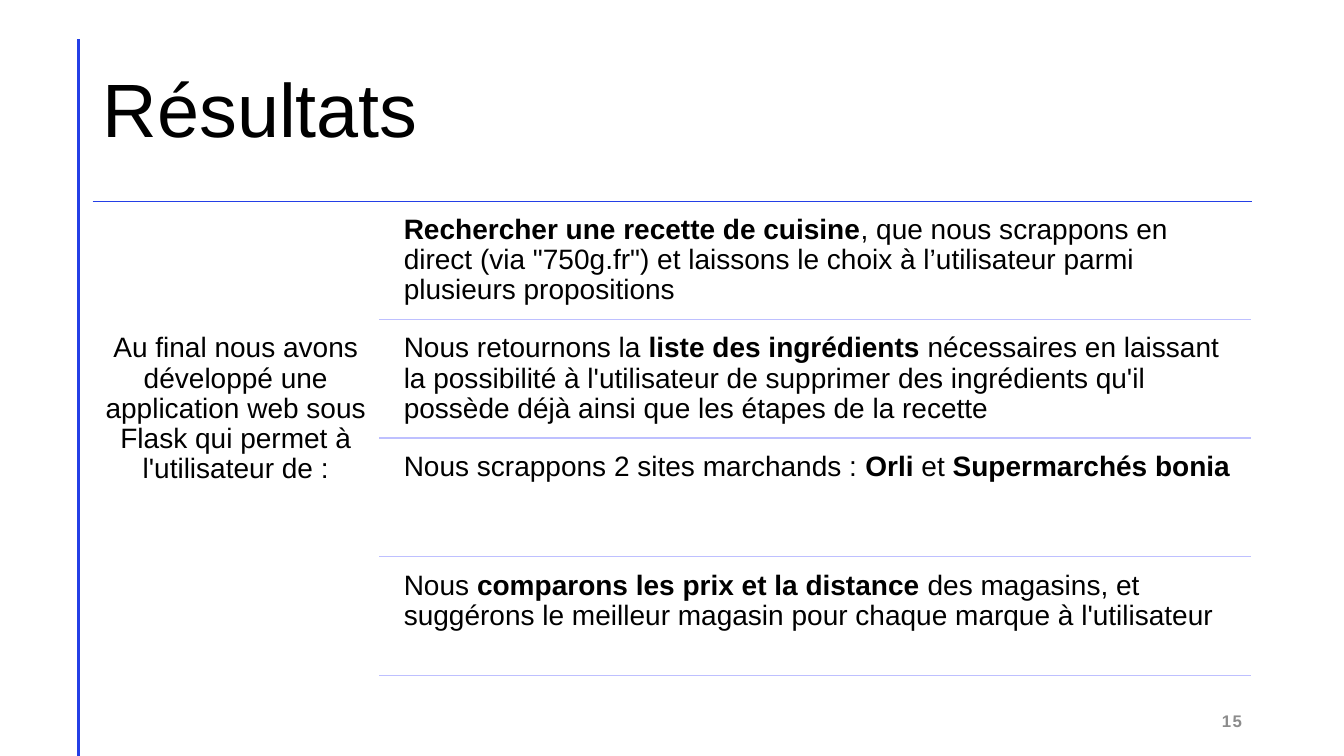
from dataclasses import dataclass

from lxml import etree
from pptx import Presentation
from pptx.dml.color import RGBColor
from pptx.enum.shapes import MSO_CONNECTOR
from pptx.enum.text import MSO_ANCHOR, PP_ALIGN
from pptx.oxml.ns import qn
from pptx.util import Pt

STRAIGHT = MSO_CONNECTOR.STRAIGHT
TOP, MIDDLE = MSO_ANCHOR.TOP, MSO_ANCHOR.MIDDLE
LEFT, CENTER, RIGHT = PP_ALIGN.LEFT, PP_ALIGN.CENTER, PP_ALIGN.RIGHT


@dataclass(frozen=True)
class Theme:
    font: str = "Arial"
    text: RGBColor = RGBColor(0x00, 0x00, 0x00)
    muted: RGBColor = RGBColor(0x8C, 0x8C, 0x8C)
    accent: RGBColor = RGBColor(0x24, 0x3F, 0xE6)
    separator: RGBColor = RGBColor(0xBE, 0xC0, 0xFF)
    title_size: int = 54
    body_size: int = 20
    number_size: int = 12


THEME = Theme()

prs = Presentation()
prs.slide_width, prs.slide_height = Pt(960), Pt(540)
slide = prs.slides.add_slide(prs.slide_layouts[5])


def add_line(x1, y1, x2, y2, color, width=1):
    line = slide.shapes.add_connector(STRAIGHT, Pt(x1), Pt(y1), Pt(x2), Pt(y2))
    line.line.color.rgb = color
    line.line.width = Pt(width)
    etree.SubElement(line._element.spPr, qn("a:effectLst"))


def write(shape, box, runs, size=THEME.body_size, color=THEME.text,
          align=LEFT, anchor=TOP, **margins):
    """Place the shape at box and fill it with (text, bold) runs."""
    for side, value in zip(("left", "top", "width", "height"), box):
        setattr(shape, side, Pt(value))
    frame = shape.text_frame
    frame.word_wrap = True
    frame.vertical_anchor = anchor
    for name, value in margins.items():
        setattr(frame, name, Pt(value))
    paragraph = frame.paragraphs[0]
    paragraph.alignment = align
    paragraph.line_spacing = 0.9
    for text, bold in runs:
        run = paragraph.add_run()
        run.text = text
        style = {"name": THEME.font, "size": Pt(size), "bold": bold}
        for name, value in style.items():
            setattr(run.font, name, value)
        run.font.color.rgb = color
    return paragraph


def_box = (0, 0, Pt(72), Pt(72))
inset = 6
margins = {f"margin_{side}": inset for side in ("left", "top", "right", "bottom")}

# Title and rules
add_line(56.2, 28, 56.2, 540, THEME.accent, 2)
write(slide.shapes.title, (66.2, 28.8, 828, 104.4), [("Résultats", False)],
      size=THEME.title_size, anchor=MIDDLE)
add_line(66.2, 144, 894.2, 144, THEME.accent)

# Features of the application
features = [
    [("Rechercher une recette de cuisine", True),
     (", que nous scrappons en direct (via \"750g.fr\") et laissons le choix "
      "à l’utilisateur parmi plusieurs propositions", False)],
    [("Nous retournons la ", False), ("liste des ingrédients", True),
     (" nécessaires en laissant la possibilité à l'utilisateur de supprimer "
      "des ingrédients qu'il possède déjà ainsi que les étapes de la recette", False)],
    [("Nous scrappons 2 sites marchands : ", False), ("Orli ", True),
     ("et ", False), ("Supermarchés bonia", True)],
    [("Nous ", False), ("comparons les prix et la distance", True),
     (" des magasins, et suggérons le meilleur magasin pour chaque marque "
      "à l'utilisateur", False)],
]
first_top, row_height, row_pitch = 147.7, 80.6, 84.7
for index, feature in enumerate(features):
    top = first_top + index * row_pitch
    write(slide.shapes.add_textbox(*def_box), (282.4, top, 611.4, row_height),
          feature, **margins)
    add_line(270.8, top + row_height, 893.8, top + row_height, THEME.separator)

# Introduction, whose first line is level with the second feature
intro_top = 144
intro_margins = {**margins, "margin_top": first_top + row_pitch - intro_top + inset}
write(slide.shapes.add_textbox(*def_box), (66.2, intro_top, 204.5, 342.7),
      [("Au final nous avons développé une application web sous Flask "
        "qui permet à l'utilisateur de :", False)],
      align=CENTER, **intro_margins)

# Slide number
number = write(slide.shapes.add_textbox(*def_box), (678.2, 500.4, 216, 28.8),
               [("15", True)], size=THEME.number_size, color=THEME.muted,
               align=RIGHT, anchor=MIDDLE)
number.line_spacing = 1.0
number.runs[0].font._element.set("spc", "100")

prs.save("out.pptx")
